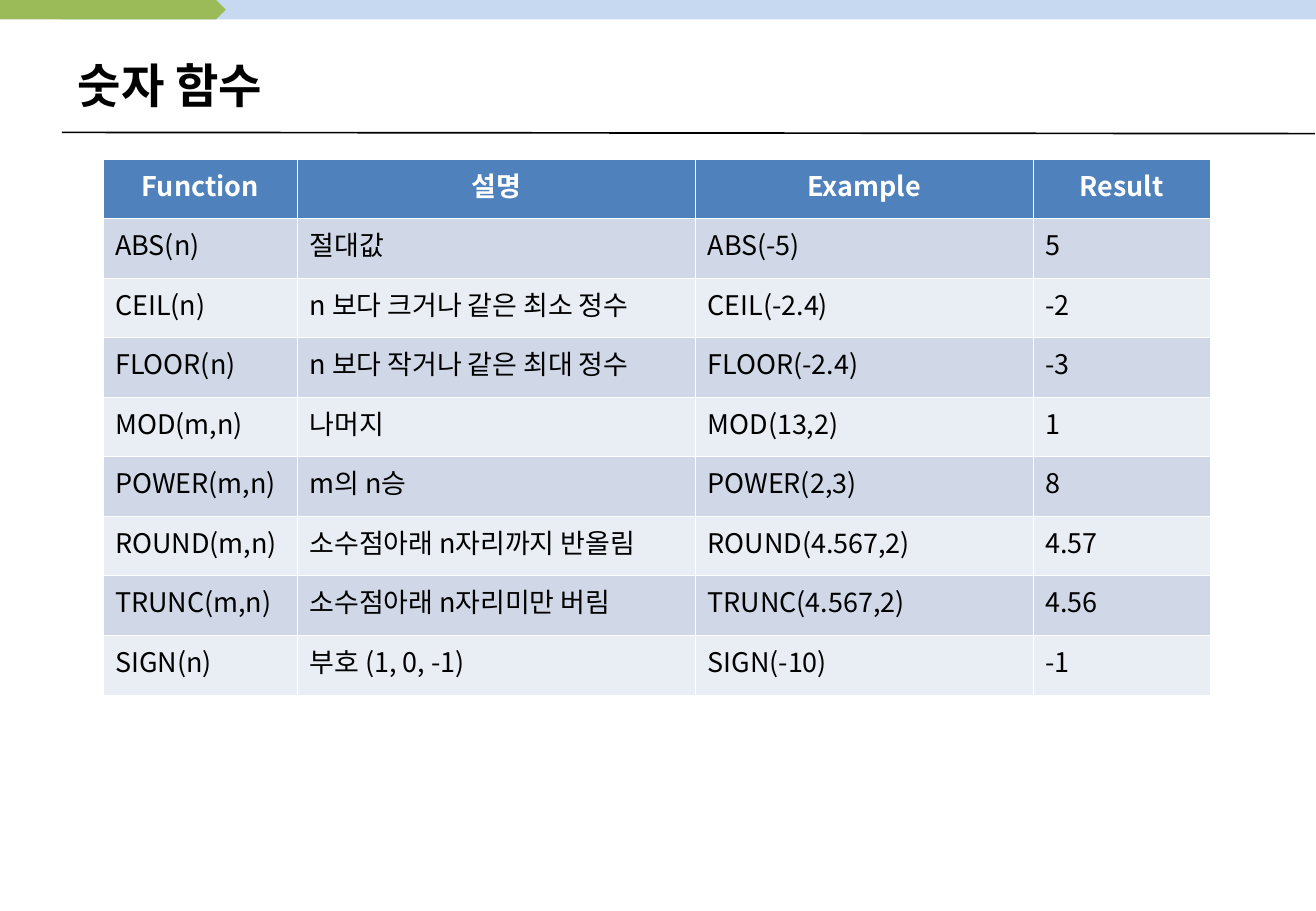
"""Build a slide with a table of numeric SQL functions."""
from lxml import etree
from pptx import Presentation
from pptx import util as u
from pptx.dml.color import RGBColor
from pptx.enum import shapes, text
from pptx.oxml import ns

BLACK = RGBColor(0x00, 0x00, 0x00)
WHITE = RGBColor(0xFF, 0xFF, 0xFF)
SKY = RGBColor(0xC6, 0xD9, 0xF1)
GREEN = RGBColor(0x9B, 0xBB, 0x59)
BLUE = RGBColor(0x4F, 0x81, 0xBD)
BANDS = RGBColor(0xE9, 0xED, 0xF4), RGBColor(0xD0, 0xD8, 0xE8)

FONT = "Noto Sans CJK KR"
WIDTHS = 1.6, 3.28, 2.78, 1.46
ROW = 0.49
ROWS = [
    ("Function", "설명", "Example", "Result"),
    ("ABS(n)", "절대값", "ABS(-5)", "5"),
    ("CEIL(n)", "n 보다 크거나 같은 최소 정수", "CEIL(-2.4)", "-2"),
    ("FLOOR(n)", "n 보다 작거나 같은 최대 정수", "FLOOR(-2.4)", "-3"),
    ("MOD(m,n)", "나머지", "MOD(13,2)", "1"),
    ("POWER(m,n)", "m의 n승", "POWER(2,3)", "8"),
    ("ROUND(m,n)", "소수점아래 n자리까지 반올림", "ROUND(4.567,2)", "4.57"),
    ("TRUNC(m,n)", "소수점아래 n자리미만 버림", "TRUNC(4.567,2)", "4.56"),
    ("SIGN(n)", "부호 (1, 0, -1)", "SIGN(-10)", "-1"),
]


def write(frame, words, size, color, bold, align):
    """Put one styled paragraph into a text frame."""
    frame.text = words
    para = frame.paragraphs[0]
    para.alignment = align
    for run in para.runs:
        font = run.font
        font.size, font.bold, font.name = u.Pt(size), bold, FONT
        font.color.rgb = color
        east = etree.SubElement(run._r.get_or_add_rPr(), ns.qn("a:ea"))
        east.set("typeface", FONT)


def add_bar(slide, kind, left, width, color):
    """Add a flat bar along the top edge."""
    bar = slide.shapes.add_shape(
        kind, u.Inches(left), 0, u.Inches(width), u.Inches(0.16))
    bar.shadow.inherit = False
    bar.fill.solid()
    bar.fill.fore_color.rgb = color
    bar.line.fill.background()


def add_rule(slide):
    """Draw the line below the title."""
    rule = slide.shapes.add_connector(
        shapes.MSO_CONNECTOR.STRAIGHT,
        u.Inches(0.51), u.Inches(1.09), u.Inches(10.83), u.Inches(1.1))
    rule.line.color.rgb = BLACK
    rule.line.width = u.Pt(1)
    etree.SubElement(rule._element.spPr, ns.qn("a:effectLst"))


def set_title(slide, words):
    """Place and fill the title placeholder."""
    title = slide.shapes.title
    title.left, title.top = u.Inches(0.54), u.Inches(0.3)
    title.width, title.height = u.Inches(9.75), u.Inches(0.79)
    frame = title.text_frame
    frame.auto_size = text.MSO_AUTO_SIZE.NONE
    frame.vertical_anchor = text.MSO_ANCHOR.MIDDLE
    write(frame, words, 28, BLACK, True, text.PP_ALIGN.LEFT)


def set_edges(cell):
    """Give a cell thin white borders."""
    props = cell._tc.get_or_add_tcPr()
    for side in "LRTB":
        edge = etree.SubElement(props, ns.qn(f"a:ln{side}"), w=str(u.Pt(0.45)))
        fill = etree.SubElement(edge, ns.qn("a:solidFill"))
        etree.SubElement(fill, ns.qn("a:srgbClr"), val=str(WHITE))


def add_grid(slide):
    """Add the function table with its header and banded rows."""
    grid = slide.shapes.add_table(
        len(ROWS), len(WIDTHS), u.Inches(0.85), u.Inches(1.31),
        u.Inches(sum(WIDTHS)), u.Inches(ROW * len(ROWS))).table
    for col, width in zip(grid.columns, WIDTHS):
        col.width = u.Inches(width)
    for i, (row, words) in enumerate(zip(grid.rows, ROWS)):
        row.height = u.Inches(ROW if i < len(ROWS) - 1 else 0.5)
        head = i == 0
        align = text.PP_ALIGN.CENTER if head else text.PP_ALIGN.LEFT
        for cell, word in zip(row.cells, words):
            set_edges(cell)
            cell.fill.solid()
            cell.fill.fore_color.rgb = BLUE if head else BANDS[i % 2]
            write(cell.text_frame, word, 16,
                  WHITE if head else BLACK, head, align)


def main():
    """Build and save the slide."""
    deck = Presentation()
    deck.slide_width, deck.slide_height = u.Inches(10.84), u.Inches(7.5)
    slide = deck.slides.add_slide(deck.slide_layouts.get_by_name("Title Only"))
    add_bar(slide, shapes.MSO_SHAPE.RECTANGLE, 0.51, 10.33, SKY)
    add_bar(slide, shapes.MSO_SHAPE.PENTAGON, 0, 1.86, GREEN)
    add_rule(slide)
    set_title(slide, "숫자 함수")
    add_grid(slide)
    deck.save("out.pptx")


if __name__ == "__main__":
    main()
